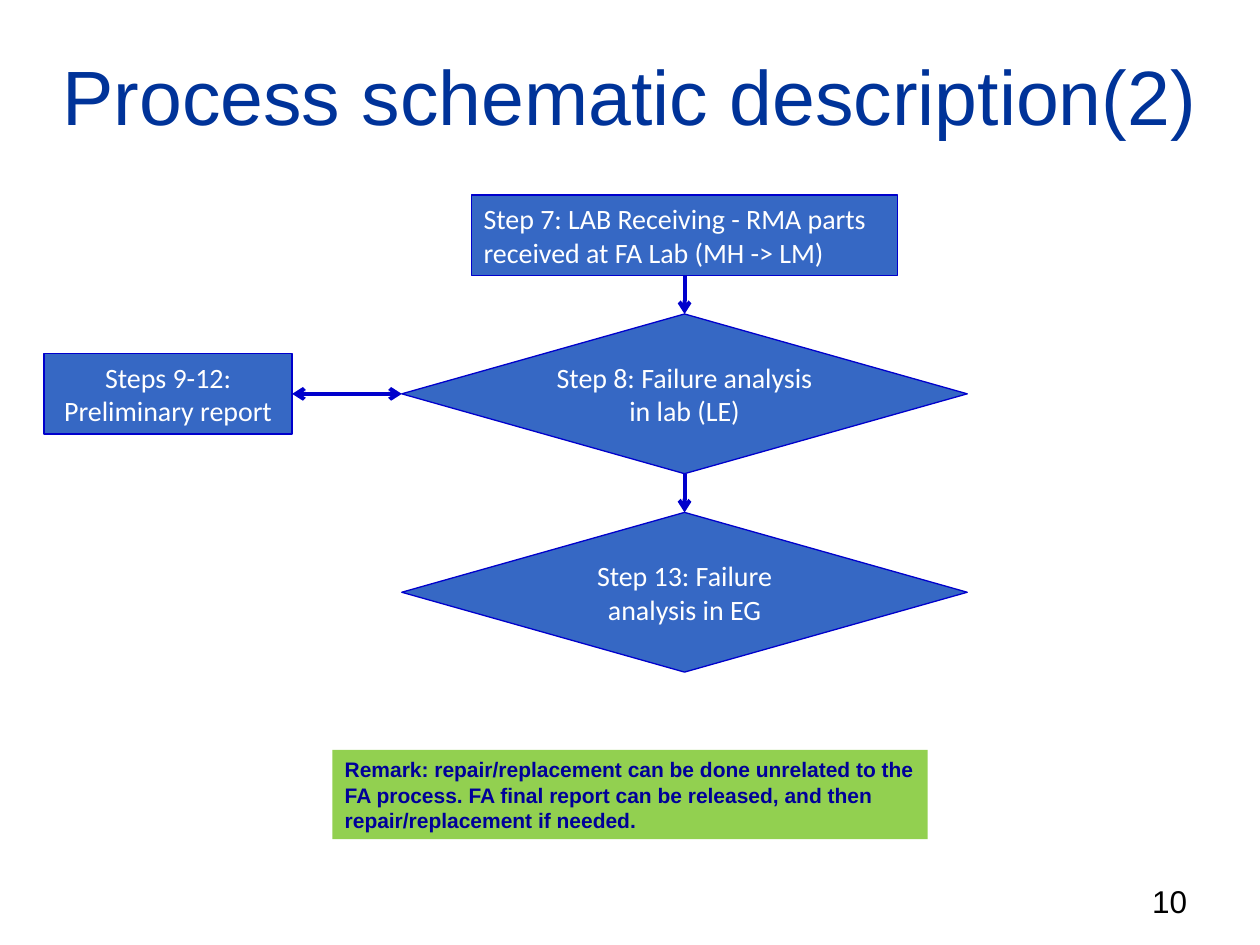
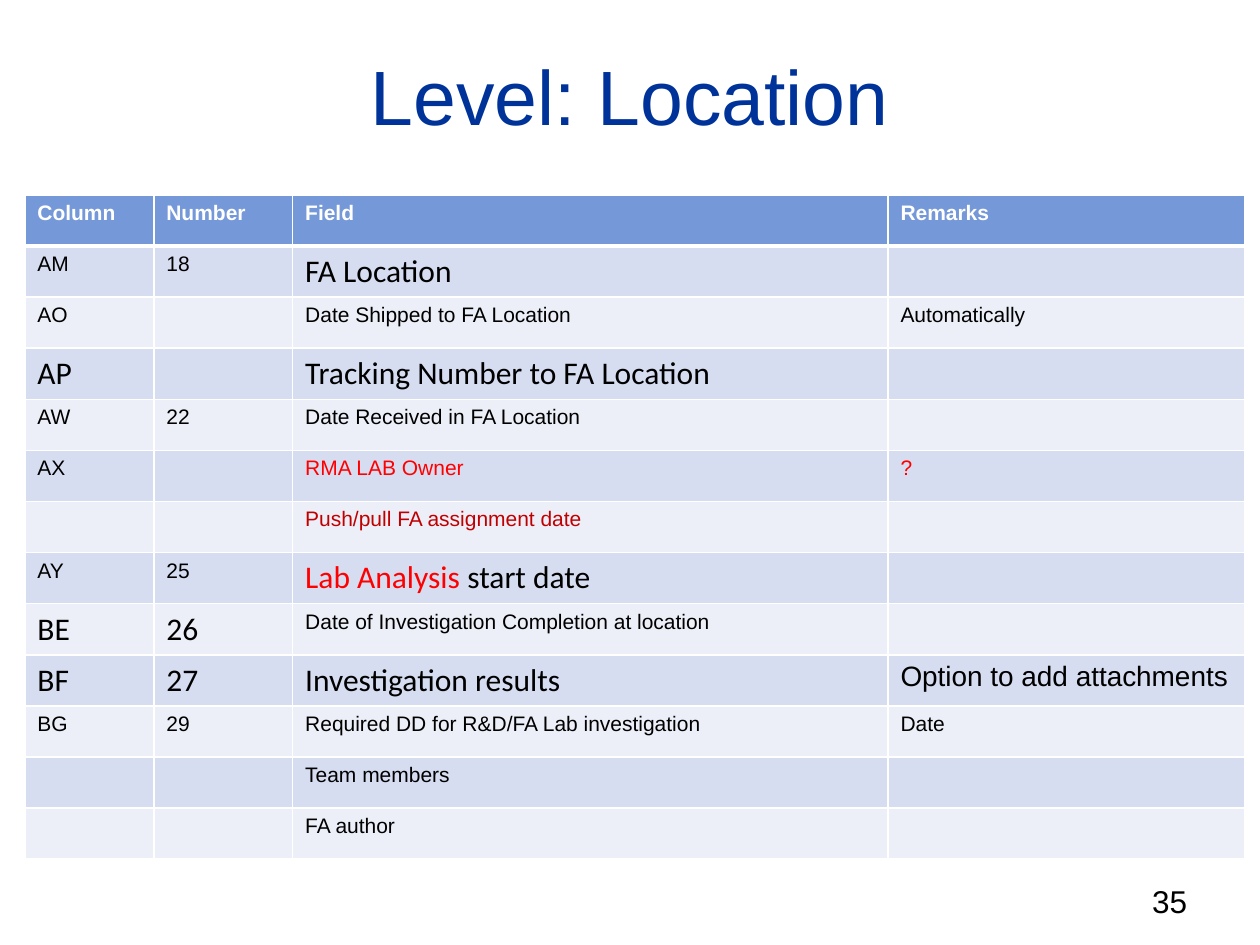
from lxml import etree
from pptx import Presentation
from pptx.dml.color import RGBColor
from pptx.enum.shapes import MSO_CONNECTOR, MSO_SHAPE
from pptx.enum.text import MSO_ANCHOR, MSO_AUTO_SIZE, PP_ALIGN
from pptx.oxml.ns import qn
from pptx.util import Cm, Pt

RECTANGLE, DIAMOND = MSO_SHAPE.RECTANGLE, MSO_SHAPE.DIAMOND
LEFT, CENTER, RIGHT = PP_ALIGN.LEFT, PP_ALIGN.CENTER, PP_ALIGN.RIGHT
TOP, MIDDLE = MSO_ANCHOR.TOP, MSO_ANCHOR.MIDDLE
TITLE_ONLY = 5
SITE_TOP, SITE_LEFT, SITE_BOTTOM, SITE_RIGHT = range(4)

WHITE, BLACK, RED, DARK_RED = "FFFFFF", "000000", "FF0000", "C00000"
TITLE_BLUE, STEP_BLUE, LINE_BLUE = "003399", "3668C4", "0000CC"
REMARK_GREEN, REMARK_BLUE = "92D050", "000099"
HEADER_FILL, BAND_FILLS = "7598D9", ("D6DDF1", "ECEFF8")

# Slide 1: flow steps from top to bottom as (text, shape, width, height, alignment)
FLOW_STEPS = [
    ("Step 7: LAB Receiving - RMA parts received at FA Lab (MH -> LM)",
     RECTANGLE, 8.6, 1.62, LEFT),
    ("Step 8: Failure analysis in lab (LE)", DIAMOND, 11.4, 3.22, CENTER),
    ("Step 13: Failure analysis in EG", DIAMOND, 11.4, 3.22, CENTER),
]
FLOW_CENTER, FLOW_TOP, FLOW_GAP = 13.8, 3.93, 0.78
REPORT_STEP = "Steps 9-12: Preliminary report"
REPORT_LEFT, REPORT_WIDTH, REPORT_HEIGHT = 0.89, 5.0, 1.62
REMARK = ("Remark: repair/replacement can be done unrelated to the FA process. "
          "FA final report can be released, and then repair/replacement if needed.")

# Slide 2: a cell is plain text or (text or runs, format)
LARGE = {"size": 18, "font": "Calibri"}
HEADERS = ["Column", "Number", "Field", "Remarks"]
COLUMN_WIDTHS = [2.6, 2.8, 12.0, 7.2]
ROW_HEIGHT = 1.03
FIELDS = [
    ["AM", "18", ("FA Location", LARGE), ""],
    ["AO", "", "Date Shipped to FA Location", "Automatically"],
    [("AP", LARGE), "", ("Tracking Number to FA Location", LARGE), ""],
    ["AW", "22", "Date Received in FA Location", ""],
    ["AX", "", ("RMA LAB Owner", {"color": RED}), ("?", {"color": RED})],
    ["", "", ("Push/pull FA assignment date", {"color": DARK_RED}), ""],
    ["AY", "25", ([("Lab Analysis ", RED), ("start date", BLACK)], LARGE), ""],
    [("BE", LARGE), ("26", LARGE), "Date of Investigation Completion at location", ""],
    [("BF", LARGE), ("27", LARGE), ("Investigation results", LARGE),
     ("Option to add attachments", {"size": 16})],
    ["BG", "29", "Required DD for R&D/FA Lab investigation", "Date"],
    ["", "", "Team members", ""],
    ["", "", "FA author", ""],
]


def rgb(color):
    return RGBColor.from_string(color)


def write(text_frame, text, size=12, font="Arial", color=BLACK, bold=False,
          align=LEFT, anchor=TOP):
    """Fill a frame with one paragraph; text is a string or (text, color) runs."""
    text_frame.word_wrap = True
    text_frame.vertical_anchor = anchor
    paragraph = text_frame.paragraphs[0]
    paragraph.alignment = align
    runs = [(text, color)] if isinstance(text, str) else text
    for run_text, run_color in runs:
        run = paragraph.add_run()
        run.text = run_text
        run.font.size = Pt(size)
        run.font.name = font
        run.font.bold = bold
        run.font.color.rgb = rgb(run_color)


def add_slide(presentation, title, number):
    slide = presentation.slides.add_slide(presentation.slide_layouts[TITLE_ONLY])
    heading = slide.shapes.title
    heading.left, heading.top = Cm(0.9), Cm(0.7)
    heading.width, heading.height = Cm(23.6), Cm(2.42)
    heading.text_frame.auto_size = MSO_AUTO_SIZE.NONE
    write(heading.text_frame, title, size=44, color=TITLE_BLUE,
          align=CENTER, anchor=MIDDLE)
    number_box = slide.shapes.add_textbox(Cm(18.26), Cm(17.65), Cm(5.92), Cm(1.02))
    write(number_box.text_frame, str(number), size=18, align=RIGHT)
    return slide


def add_box(slide, kind, left, top, width, height, text, fill, line=None, **text_format):
    shape = slide.shapes.add_shape(kind, Cm(left), Cm(top), Cm(width), Cm(height))
    shape.shadow.inherit = False
    shape.fill.solid()
    shape.fill.fore_color.rgb = rgb(fill)
    if line:
        shape.line.color.rgb = rgb(line)
        shape.line.width = Pt(0.75)
    else:
        shape.line.fill.background()
    write(shape.text_frame, text, anchor=MIDDLE, **text_format)
    return shape


def add_step(slide, kind, left, top, width, height, text, align):
    return add_box(slide, kind, left, top, width, height, text, STEP_BLUE, LINE_BLUE,
                   size=16, font="Calibri", color=WHITE, align=align)


def add_arrow(slide, start, start_site, end, end_site, both_ends=False):
    connector = slide.shapes.add_connector(MSO_CONNECTOR.STRAIGHT, 0, 0, 0, 0)
    connector.begin_connect(start, start_site)
    connector.end_connect(end, end_site)
    connector.line.color.rgb = rgb(LINE_BLUE)
    connector.line.width = Pt(2.25)
    properties = connector._element.spPr
    line = properties.find(qn("a:ln"))
    for end_tag in ("a:headEnd", "a:tailEnd") if both_ends else ("a:tailEnd",):
        etree.SubElement(line, qn(end_tag), type="arrow")
    etree.SubElement(properties, qn("a:effectLst"))


def format_cell(cell, fill, bottom_width=1):
    """Draw white borders, then the fill, in the order the schema requires."""
    properties = cell._tc.get_or_add_tcPr()
    for side, width in (("L", 1), ("R", 1), ("T", 1), ("B", bottom_width)):
        border = etree.SubElement(properties, qn(f"a:ln{side}"), w=str(Pt(width)))
        solid = etree.SubElement(border, qn("a:solidFill"))
        etree.SubElement(solid, qn("a:srgbClr"), val=WHITE)
    cell.fill.solid()
    cell.fill.fore_color.rgb = rgb(fill)


def build_process_slide(presentation):
    slide = add_slide(presentation, "Process schematic description(2)", 10)
    steps, top = [], FLOW_TOP
    for text, kind, width, height, align in FLOW_STEPS:
        steps.append(add_step(slide, kind, FLOW_CENTER - width / 2, top,
                              width, height, text, align))
        top += height + FLOW_GAP
    for upper, lower in zip(steps, steps[1:]):
        add_arrow(slide, upper, SITE_BOTTOM, lower, SITE_TOP)

    analysis = steps[1]
    report_top = (analysis.top + analysis.height / 2) / Cm(1) - REPORT_HEIGHT / 2
    report = add_step(slide, RECTANGLE, REPORT_LEFT, report_top, REPORT_WIDTH,
                      REPORT_HEIGHT, REPORT_STEP, CENTER)
    add_arrow(slide, analysis, SITE_LEFT, report, SITE_RIGHT, both_ends=True)
    add_box(slide, RECTANGLE, 6.7, 15.12, 12, 1.8, REMARK, REMARK_GREEN,
            color=REMARK_BLUE, bold=True)


def build_location_slide(presentation):
    slide = add_slide(presentation, "Level: Location", 35)
    row_count = len(FIELDS) + 1
    table = slide.shapes.add_table(
        row_count, len(HEADERS), Cm(0.5), Cm(3.93),
        Cm(sum(COLUMN_WIDTHS)), Cm(ROW_HEIGHT * row_count)).table
    for column, width in zip(table.columns, COLUMN_WIDTHS):
        column.width = Cm(width)
    for row in table.rows:
        row.height = Cm(ROW_HEIGHT)

    for index, header in enumerate(HEADERS):
        cell = table.cell(0, index)
        format_cell(cell, HEADER_FILL, bottom_width=3)
        write(cell.text_frame, header, color=WHITE, bold=True)
    for row_index, field in enumerate(FIELDS):
        for column_index, content in enumerate(field):
            cell = table.cell(row_index + 1, column_index)
            format_cell(cell, BAND_FILLS[row_index % 2])
            text, text_format = (content, {}) if isinstance(content, str) else content
            if text:
                write(cell.text_frame, text, **text_format)


def main():
    presentation = Presentation()
    presentation.slide_width, presentation.slide_height = Cm(25.4), Cm(19.05)
    build_process_slide(presentation)
    build_location_slide(presentation)
    presentation.save("out.pptx")


if __name__ == "__main__":
    main()
